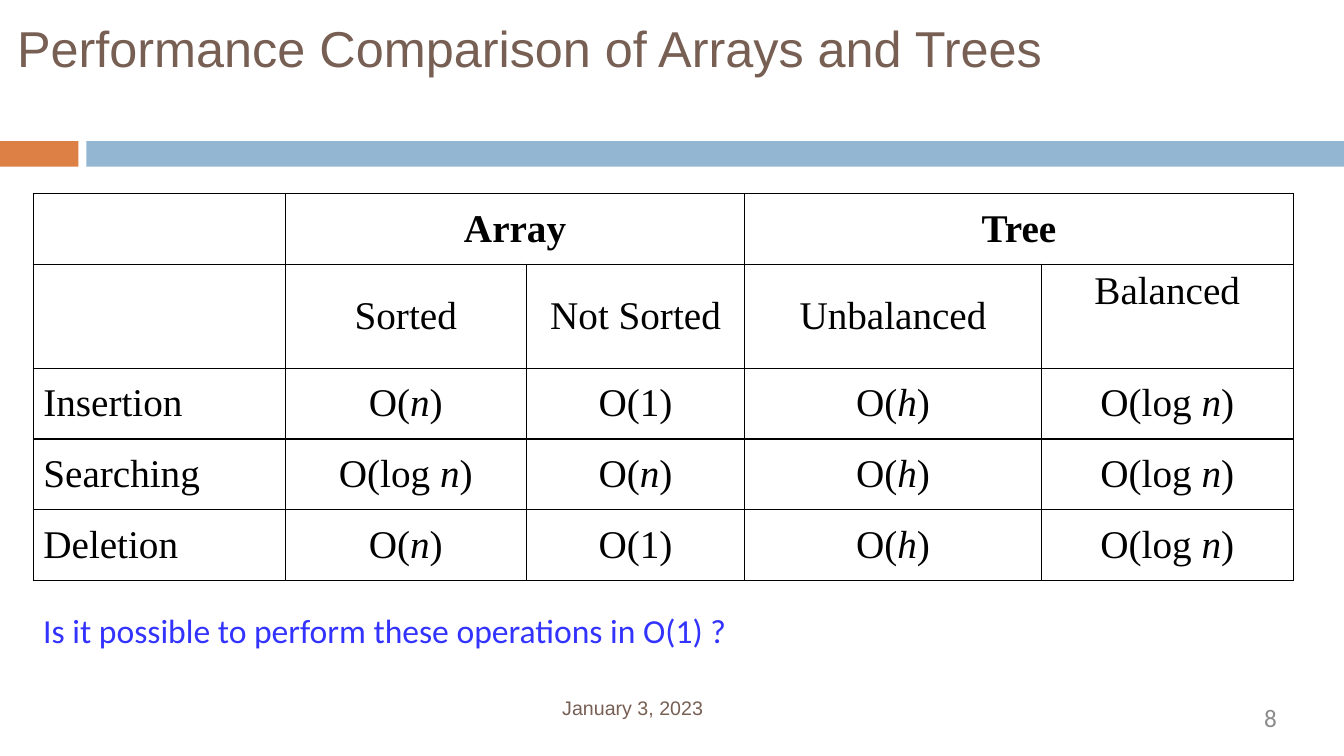
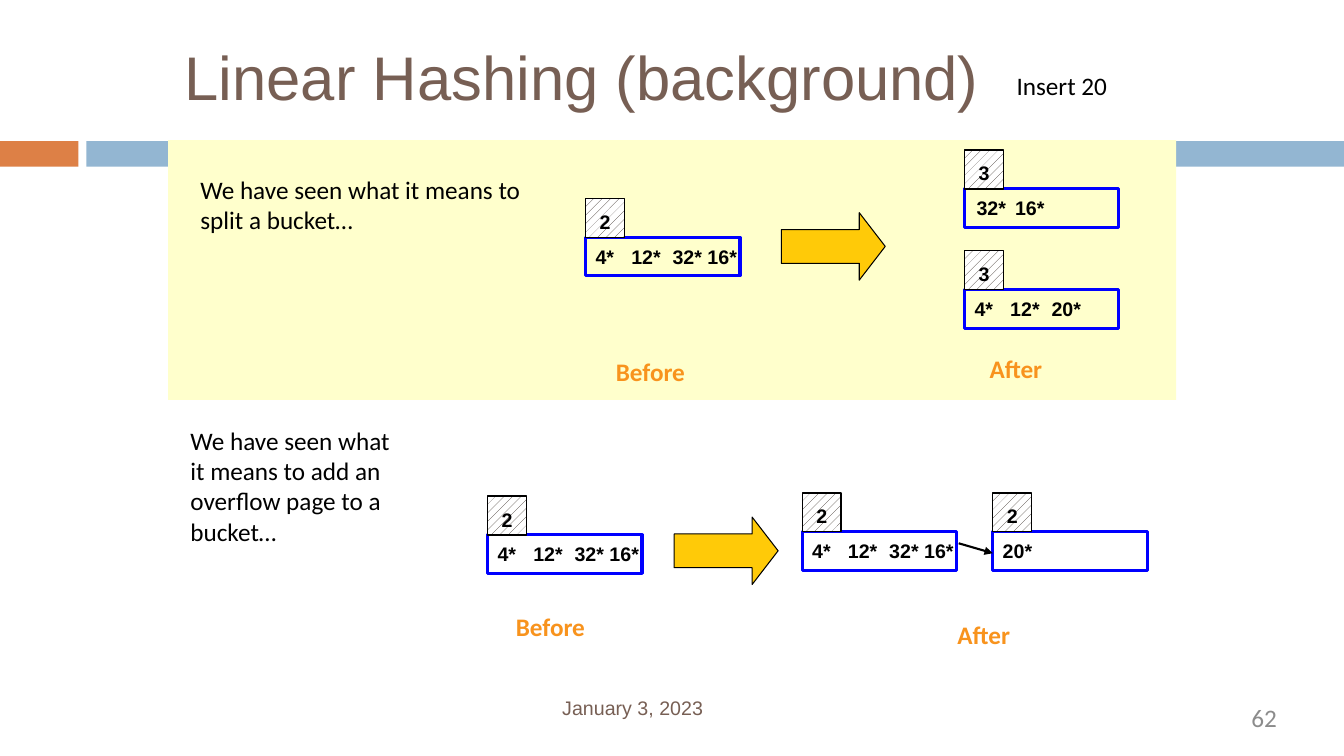
import lxml.etree
import pptx
import pptx.dml.color
import pptx.enum.dml
import pptx.enum.shapes
import pptx.enum.text
import pptx.oxml.ns
import pptx.util

Cm = pptx.util.Cm
Pt = pptx.util.Pt
qn = pptx.oxml.ns.qn
ALIGN = pptx.enum.text.PP_ALIGN
ANCHOR = pptx.enum.text.MSO_ANCHOR
SHAPE = pptx.enum.shapes.MSO_SHAPE

DECK_WIDTH, DECK_HEIGHT = 33.87, 19.05
BLACK, WHITE = "000000", "FFFFFF"
BROWN, ORANGE, BLUE = "775F54", "DD8046", "93B6D2"
GREY, QUESTION_BLUE = "8C8C8C", "3333FF"
CREAM, CAPTION_ORANGE, ARROW_YELLOW = "FFFFCC", "F8931D", "FFCA08"
PAGE_BLUE, HATCH_BROWN = "0000FF", "39302A"
TITLE_FONT, BODY_FONT, TABLE_FONT = "Arial", "Calibri", "Times New Roman"

TAG_SIDE, PAGE_WIDTH, PAGE_HEIGHT = 0.98, 3.89, 0.97
FULL_PAGE = (("4*", 0), ("12*", 0.9), ("32*", 1.94), ("16*", 2.82))


def color(value):
    return pptx.dml.color.RGBColor.from_string(value)


def place(shape, box):
    shape.left, shape.top, shape.width, shape.height = map(Cm, box)


def style(para, font, size, value, bold=False):
    for span in para.runs:
        span.font.name = font
        span.font.size = Pt(size)
        span.font.bold = bold
        span.font.color.rgb = color(value)


def write(frame, text, font, size, value, bold=False, align=ALIGN.LEFT, inset=None, wrap=True):
    frame.text = text
    frame.word_wrap = wrap
    frame.auto_size = pptx.enum.text.MSO_AUTO_SIZE.NONE
    frame.vertical_anchor = ANCHOR.TOP
    if inset is not None:
        frame.margin_left = frame.margin_right = Cm(inset)
        frame.margin_top = frame.margin_bottom = Cm(inset)
    para = frame.paragraphs[0]
    para.alignment = align
    style(para, font, size, value, bold)
    return para


def add_text(shapes, box, *args, **options):
    return write(shapes.add_textbox(*map(Cm, box)).text_frame, *args, **options)


def add_block(shapes, kind, box, fill=None, line=None, weight=1):
    block = shapes.add_shape(kind, *map(Cm, box))
    block.shadow.inherit = False
    if fill:
        block.fill.solid()
        block.fill.fore_color.rgb = color(fill)
    else:
        block.fill.background()
    if line:
        block.line.color.rgb = color(line)
        block.line.width = Pt(weight)
    else:
        block.line.fill.background()
    return block


def add_page(deck, title, title_box, title_size, number):
    page = deck.slides.add_slide(deck.slide_layouts[5])
    for left, width, fill in ((0, 1.98, ORANGE), (2.18, DECK_WIDTH - 2.18, BLUE)):
        add_block(page.shapes, SHAPE.RECTANGLE, (left, 3.56, width, 0.64), fill)
    place(page.shapes.title, title_box)
    write(page.shapes.title.text_frame, title, TITLE_FONT, title_size, BROWN, inset=0)
    date = add_text(page.shapes, (14.17, 17.58, 7.87, 0.56), "January 3, 2023",
                    TITLE_FONT, 14, BROWN, inset=0)
    date.line_spacing = Pt(15.8)
    add_text(page.shapes, (24.38, 17.7, 7.8, 0.76), number,
             BODY_FONT, 18, GREY, align=ALIGN.RIGHT, inset=0)
    return page


def add_borders(cell):
    properties = cell._tc.get_or_add_tcPr()
    for side in ("a:lnL", "a:lnR", "a:lnT", "a:lnB"):
        border = lxml.etree.SubElement(properties, qn(side), w=str(Pt(1)))
        fill = lxml.etree.SubElement(border, qn("a:solidFill"))
        lxml.etree.SubElement(fill, qn("a:srgbClr"), val=BLACK)


def fill_cell(cell, text, align, bold):
    add_borders(cell)
    cell.fill.solid()
    cell.fill.fore_color.rgb = color(WHITE)
    cell.vertical_anchor = ANCHOR.MIDDLE
    if not text:
        return
    para = cell.text_frame.paragraphs[0]
    para.alignment = align
    if text.endswith(("n)", "h)")):
        for piece in (text[:-2], text[-2], text[-1]):
            span = para.add_run()
            span.text = piece
            span.font.italic = piece in ("n", "h")
    else:
        para.text = text
    style(para, TABLE_FONT, 28, BLACK, bold)


def add_cost_table(page, left, top):
    rows = (
        ("", "Array", "", "Tree", ""),
        ("", "Sorted", "Not Sorted", "Unbalanced", "Balanced"),
        ("Insertion", "O(n)", "O(1)", "O(h)", "O(log n)"),
        ("Searching", "O(log n)", "O(n)", "O(h)", "O(log n)"),
        ("Deletion", "O(n)", "O(1)", "O(h)", "O(log n)"),
    )
    widths = (6.35, 6.07, 5.51, 7.47, 6.35)
    heights = (1.78, 2.62, 1.78, 1.78, 1.78)
    frame = page.shapes.add_table(len(rows), len(widths), Cm(left), Cm(top),
                                  Cm(sum(widths)), Cm(sum(heights)))
    table = frame.table
    table.first_row = table.horz_banding = False
    for column, width in zip(table.columns, widths):
        column.width = Cm(width)
    for row, height in zip(table.rows, heights):
        row.height = Cm(height)
    for row_index, texts in enumerate(rows):
        for column_index, text in enumerate(texts):
            align = ALIGN.CENTER if column_index else ALIGN.LEFT
            fill_cell(table.cell(row_index, column_index), text, align, row_index == 0)
    for first in (1, 3):
        table.cell(0, first).merge(table.cell(0, first + 1))
    table.cell(1, 4).vertical_anchor = ANCHOR.TOP


def add_bucket(page, left, top, depth, entries):
    shapes = page.shapes.add_group_shape().shapes
    add_block(shapes, SHAPE.RECTANGLE, (left, top + TAG_SIDE, PAGE_WIDTH, PAGE_HEIGHT),
              line=PAGE_BLUE, weight=2.25)
    tag = add_block(shapes, SHAPE.RECTANGLE, (left, top, TAG_SIDE, TAG_SIDE), line=BLACK)
    tag.fill.patterned()
    tag.fill.pattern = pptx.enum.dml.MSO_PATTERN.PERCENT_20
    tag.fill.fore_color.rgb = color(HATCH_BROWN)
    tag.fill.back_color.rgb = color(WHITE)
    write(tag.text_frame, depth, TITLE_FONT, 14, BLACK, True, ALIGN.CENTER, 0.1, False)
    tag.text_frame.vertical_anchor = ANCHOR.BOTTOM
    for text, offset in entries:
        box = (left + offset, top + 1.04, 0.56 + 0.23 * len(text), 0.84)
        add_text(shapes, box, text, TITLE_FONT, 14, BLACK, True, wrap=False)


def add_scene(page, left, top, note, note_box, buckets, arrow, captions):
    x, y, width, height = note_box
    add_text(page.shapes, (left + x, top + y, width, height), note, BODY_FONT, 18, BLACK)
    for x, y, depth, entries in buckets:
        add_bucket(page, left + x, top + y, depth, entries)
    block = add_block(page.shapes, SHAPE.RIGHT_ARROW,
                      (left + arrow[0], top + arrow[1], 2.62, 1.7), ARROW_YELLOW, BLACK, 0.75)
    block.adjustments[0], block.adjustments[1] = 0.5, 0.385
    for text, width, (x, y) in zip(("Before", "After"), (2.26, 1.88), captions):
        add_text(page.shapes, (left + x, top + y, width, 1.02), text,
                 BODY_FONT, 18, CAPTION_ORANGE, True, wrap=False)


def add_pointer(page, start, end):
    pointer = page.shapes.add_connector(pptx.enum.shapes.MSO_CONNECTOR.STRAIGHT,
                                        *map(Cm, start + end))
    pointer.line.color.rgb = color(BLACK)
    pointer.line.width = Pt(1.5)
    properties = pointer.element.spPr
    lxml.etree.SubElement(properties.find(qn("a:ln")), qn("a:tailEnd"), type="triangle")
    lxml.etree.SubElement(properties, qn("a:effectLst"))


def add_split_scene(page, left, top, width, height):
    add_block(page.shapes, SHAPE.RECTANGLE, (left, top, width, height), CREAM)
    buckets = (
        (10.52, 1.47, "2", FULL_PAGE),
        (20.07, 0.25, "3", (("32*", 0.05), ("16*", 1.02))),
        (20.07, 2.79, "3", (("4*", 0), ("12*", 0.9), ("20*", 1.94))),
    )
    add_scene(page, left, top, "We have seen what it means to split a bucket…",
              (0.56, 0.74, 9.47, 1.8), buckets, (15.45, 1.83),
              ((11.03, 5.33), (20.45, 5.26)))


def add_overflow_scene(page, left, top):
    buckets = (
        (8.05, 2.42, "2", FULL_PAGE),
        (15.98, 2.34, "2", FULL_PAGE),
        (20.78, 2.34, "2", (("20*", 0),)),
    )
    add_scene(page, left, top,
              "We have seen what it means to add an overflow page to a bucket…",
              (0.31, 0.51, 5.89, 3.33), buckets, (12.75, 2.95),
              ((8.51, 5.21), (19.64, 5.41)))
    add_pointer(page, (left + 19.92, top + 3.61), (left + 20.78, top + 3.86))


def build_comparison(deck):
    page = add_page(deck, "Performance Comparison of Arrays and Trees",
                    (0.43, 0.43, 33.02, 3.07), 36, "8")
    add_cost_table(page, 0.84, 4.88)
    add_text(page.shapes, (0.84, 15.24, 27.3, 1.27),
             "Is it possible to perform these operations in O(1) ?",
             BODY_FONT, 24, QUESTION_BLUE)


def build_hashing(deck):
    page = add_page(deck, "Linear Hashing (background)", (4.65, 0.97, 23.22, 1.93), 44, "62")
    add_split_scene(page, 4.24, 3.53, 25.4, 6.55)
    add_overflow_scene(page, 4.24, 10.08)
    add_text(page.shapes, (25.37, 1.65, 2.82, 1.02), "Insert 20",
             BODY_FONT, 18, BLACK, wrap=False)


def main():
    deck = pptx.Presentation()
    deck.slide_width, deck.slide_height = Cm(DECK_WIDTH), Cm(DECK_HEIGHT)
    build_comparison(deck)
    build_hashing(deck)
    deck.save("out.pptx")


if __name__ == "__main__":
    main()
